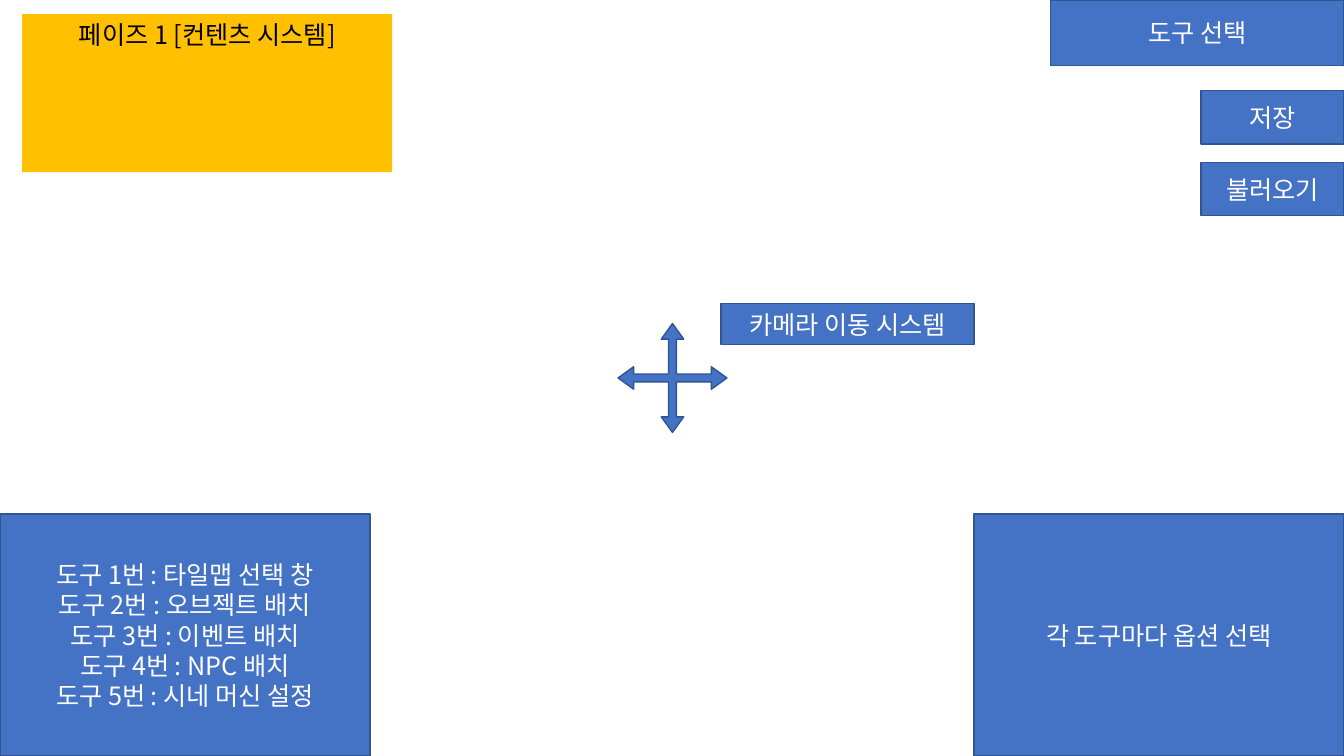
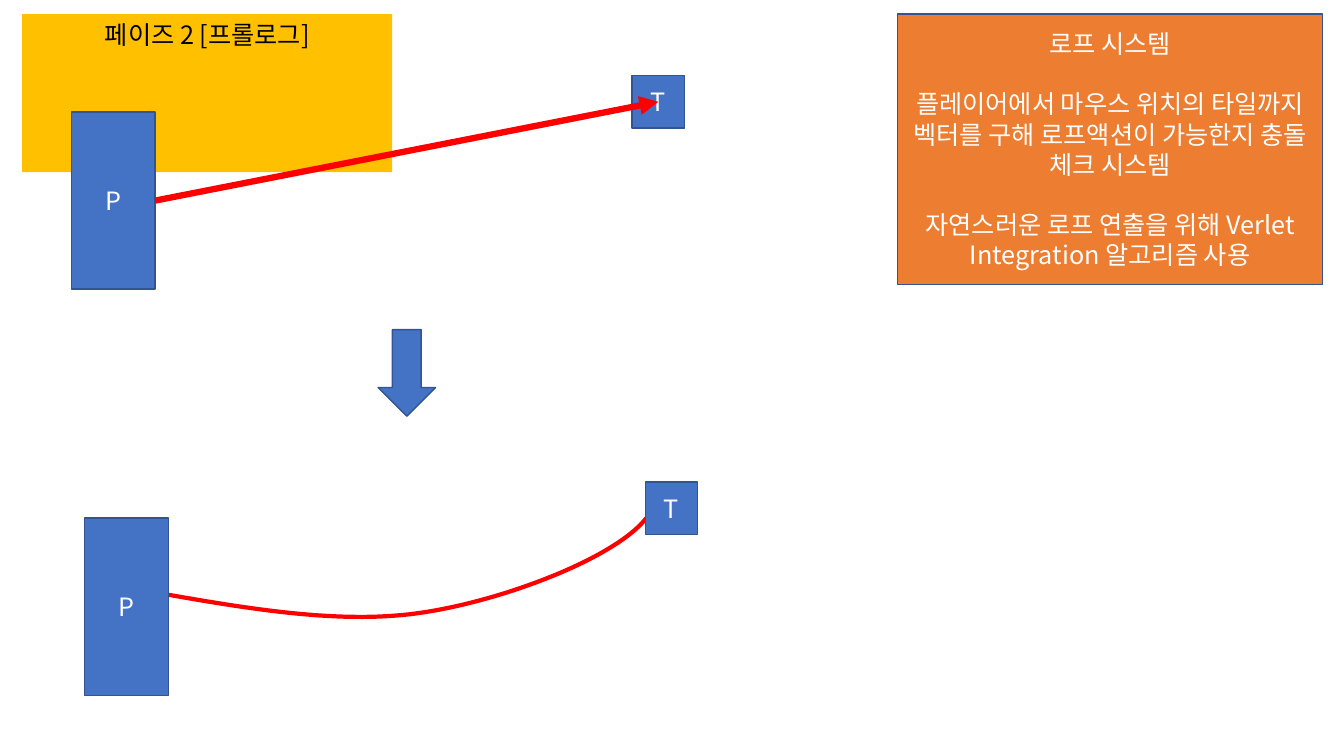
from dataclasses import dataclass
from typing import Iterable

from lxml.etree import SubElement
from pptx import Presentation
from pptx.dml.color import RGBColor
from pptx.enum.shapes import MSO_CONNECTOR, MSO_SHAPE
from pptx.enum.text import MSO_ANCHOR, MSO_AUTO_SIZE, PP_ALIGN
from pptx.oxml.ns import qn
from pptx.shapes.autoshape import Shape
from pptx.slide import Slide
from pptx.text.text import TextFrame
from pptx.util import Pt

PX = 9144  # 100 px to the inch
W, H = 1333, 750

FONT = "Noto Sans CJK KR"
SIZE = 18
LINE_HEIGHT = 21.5
YELLOW, BLUE, ORANGE = "FFC000", "4472C4", "ED7D31"
OUTLINE, RED, BLACK, WHITE = "325491", "FF0000", "000000", "FFFFFF"

Point = tuple[int, int]


@dataclass(frozen=True)
class Box:
    x: int
    y: int
    w: int
    h: int
    lines: tuple[str, ...] = ()
    fill: str = BLUE
    gap: float = 0
    kind: MSO_SHAPE = MSO_SHAPE.RECTANGLE
    adjustments: tuple[float, ...] = ()

    def moved(self, dx: int, dy: int) -> "Box":
        return Box(self.x + dx, self.y + dy, self.w, self.h, self.lines)


def rgb(value: str) -> RGBColor:
    return RGBColor.from_string(value)


def write(tf: TextFrame, lines: Iterable[str], color: str, gap: float = 0) -> None:
    """Fill a frame with centred paragraphs, gap points apart."""
    tf.word_wrap = True
    for i, line in enumerate(lines):
        p = tf.add_paragraph() if i else tf.paragraphs[0]
        p.text = line
        p.alignment = PP_ALIGN.CENTER
        if i and gap:
            p.space_before = Pt(gap)
        p.font.size = Pt(SIZE)
        p.font.color.rgb = rgb(color)
        p.font.name = FONT
        defaults = p._p.pPr.find(qn("a:defRPr"))
        SubElement(defaults, qn("a:ea")).set("typeface", FONT)


def add_titled_slide(prs, title: str) -> Slide:
    s = prs.slides.add_slide(prs.slide_layouts[5])
    sp = s.shapes.title
    sp.left, sp.top, sp.width, sp.height = (v * PX for v in (22, 14, 367, 40))
    sp.fill.solid()
    sp.fill.fore_color.rgb = rgb(YELLOW)
    tf = sp.text_frame
    tf.vertical_anchor = MSO_ANCHOR.TOP
    tf.auto_size = MSO_AUTO_SIZE.SHAPE_TO_FIT_TEXT
    write(tf, [title], BLACK)
    return s


def add_box(s: Slide, box: Box) -> Shape:
    sp = s.shapes.add_shape(box.kind, *(v * PX for v in (box.x, box.y, box.w, box.h)))
    sp.shadow.inherit = False
    sp.fill.solid()
    sp.fill.fore_color.rgb = rgb(box.fill)
    sp.line.color.rgb = rgb(OUTLINE)
    sp.line.width = Pt(1)
    for i, value in enumerate(box.adjustments):
        sp.adjustments[i] = value
    sp.text_frame.vertical_anchor = MSO_ANCHOR.MIDDLE
    write(sp.text_frame, box.lines, WHITE, box.gap)
    return sp


def add_arrow(s: Slide, start: Point, end: Point) -> None:
    line = s.shapes.add_connector(
        MSO_CONNECTOR.STRAIGHT, *(v * PX for v in (*start, *end)))
    line.line.color.rgb = rgb(RED)
    line.line.width = Pt(4.5)
    SubElement(line.line._get_or_add_ln(), qn("a:tailEnd")).set("type", "triangle")
    SubElement(line._element.spPr, qn("a:effectLst"))


def bezier(points: tuple[Point, ...], steps: int = 40) -> list[tuple[float, float]]:
    """Points along a cubic curve, in EMU, without its start."""
    curve = []
    for i in range(1, steps + 1):
        t = i / steps
        weights = ((1 - t) ** 3, 3 * t * (1 - t) ** 2, 3 * t * t * (1 - t), t ** 3)
        curve.append(tuple(
            PX * sum(k * point[axis] for k, point in zip(weights, points))
            for axis in (0, 1)))
    return curve


def add_rope(s: Slide, knots: tuple[Point, ...]) -> None:
    """Draw joined cubic curves; every third knot lies on the rope."""
    x, y = knots[0]
    builder = s.shapes.build_freeform(x * PX, y * PX)
    for i in range(0, len(knots) - 1, 3):
        builder.add_line_segments(bezier(knots[i:i + 4]), close=False)
    sp = builder.convert_to_shape()
    sp.shadow.inherit = False
    sp.fill.background()
    sp.line.color.rgb = rgb(RED)
    sp.line.width = Pt(3)


def build_content_system(prs) -> None:
    s = add_titled_slide(prs, "페이즈 1 [컨텐츠 시스템]")
    tools = ("타일맵 선택 창", "오브젝트 배치", "이벤트 배치", "NPC 배치", "시네 머신 설정")
    tool_lines = tuple(f"도구 {n}번 : {tool}" for n, tool in enumerate(tools, 1))
    panel_w, panel_h = 367, 240
    panel_y = H - panel_h
    button_w, button_h, button_step = 142, 53, 71
    boxes = [
        Box(613, 321, 108, 108, kind=MSO_SHAPE.QUAD_ARROW,
            adjustments=(0.072, 0.103, 0.143)),
        Box(715, 301, 251, 41, ("카메라 이동 시스템",)),
        Box(0, panel_y, panel_w, panel_h, tool_lines),
        Box(W - 291, 0, 291, 65, ("도구 선택",)),
        Box(W - panel_w, panel_y, panel_w, panel_h, ("각 도구마다 옵션 선택",)),
    ]
    boxes += [Box(W - button_w, 90 + i * button_step, button_w, button_h, (label,))
              for i, label in enumerate(("저장", "불러오기"))]
    for box in boxes:
        add_box(s, box)


def build_prologue(prs) -> None:
    s = add_titled_slide(prs, "페이즈 2 [프롤로그]")
    target = Box(627, 75, 52, 52, ("T",))
    player = Box(71, 111, 83, 176, ("P",))
    add_rope(s, ((144, 586), (240, 603), (335, 620), (417, 608),
                 (500, 596), (611, 553), (641, 514)))
    for box in (target, player):
        add_box(s, box)
    add_arrow(s, (player.x + player.w, player.y + player.h // 2),
              (target.x + target.w // 2, target.y + target.h // 2))
    for box in (target, player):
        add_box(s, box.moved(13, 403))
    add_box(s, Box(890, 14, 422, 268, (
        "로프 시스템",
        "플레이어에서 마우스 위치의 타일까지 벡터를 구해 로프액션이 가능한지 충돌 체크 시스템",
        "자연스러운 로프 연출을 위해 Verlet Integration 알고리즘 사용",
    ), fill=ORANGE, gap=LINE_HEIGHT))
    add_box(s, Box(375, 327, 57, 86, kind=MSO_SHAPE.DOWN_ARROW))


def main() -> None:
    prs = Presentation()
    prs.slide_width, prs.slide_height = W * PX, H * PX
    build_content_system(prs)
    build_prologue(prs)
    prs.save("out.pptx")


if __name__ == "__main__":
    main()
